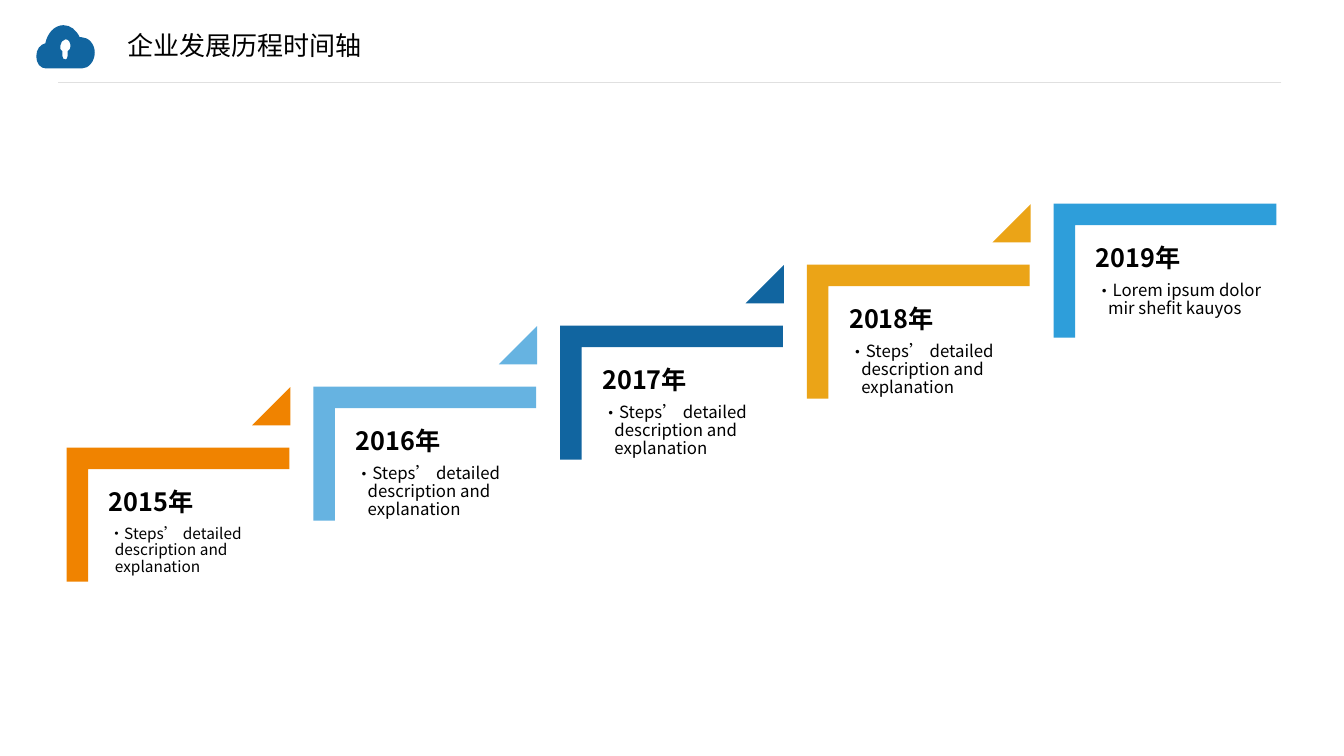
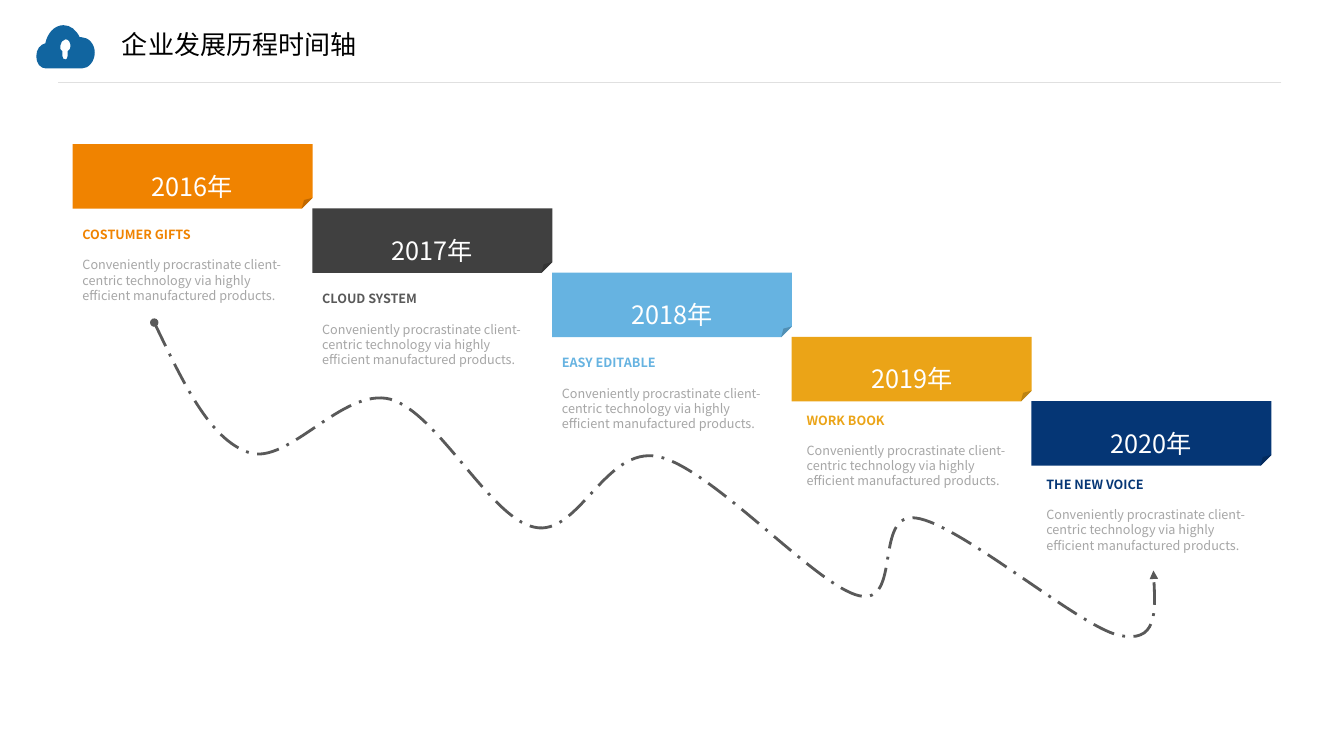
import pptx
import pptx.util
import pptx.dml.color
import pptx.enum.dml
import pptx.enum.shapes
import pptx.enum.text
import pptx.oxml
import pptx.oxml.ns
import lxml.etree

Inches = pptx.util.Inches
Pt = pptx.util.Pt
qn = pptx.oxml.ns.qn
SHAPES = pptx.enum.shapes.MSO_SHAPE
ANCHOR = pptx.enum.text.MSO_ANCHOR
ALIGN = pptx.enum.text.PP_ALIGN

FONT = "Noto Sans CJK SC"
TITLE = "企业发展历程时间轴"
COLOURS = {
    "rule": "E0E0E0", "black": "000000", "white": "FFFFFF", "grey": "A6A6A6",
    "orange": "F08300", "sky": "66B3E1", "blue": "1165A0", "amber": "EBA417",
    "azure": "2E9EDA", "charcoal": "404040", "slate": "595959", "navy": "053675",
}

STEP_DETAIL = "Steps’ detailed description and explanation"
STEPS = [
    ("2015年", "orange", STEP_DETAIL, 11, 0.06),
    ("2016年", "sky", STEP_DETAIL, 12, 0.12),
    ("2017年", "blue", STEP_DETAIL, 12, 0.12),
    ("2018年", "amber", STEP_DETAIL, 12, 0.12),
    ("2019年", "azure", "Lorem ipsum dolor mir shefit kauyos", 12, 0.12),
]

CARD_DETAIL = ("Conveniently procrastinate client-centric technology "
               "via highly efficient manufactured products.")
CARDS = [
    ("2016年", "orange", "COSTUMER GIFTS", "orange", (0, 0.77)),
    ("2017年", "charcoal", "CLOUD SYSTEM", "slate", (0, 0.77)),
    ("2018年", "sky", "EASY EDITABLE", "sky", (0, 0.77)),
    ("2019年", "amber", "WORK BOOK", "amber", (0.05, 0.7)),
    ("2020年", "navy", "THE NEW VOICE", "navy", (0.05, 0.7)),
]

CLOUD = [
    [(0.45, 0.12)],
    [(0.44, 0.12), (0.44, 0.12), (0.43, 0.12)],
    [(0.4, 0.05), (0.34, 0), (0.27, 0)],
    [(0.18, 0), (0.11, 0.08), (0.09, 0.18)],
    [(0.04, 0.19), (0, 0.24), (0, 0.31)],
    [(0, 0.38), (0.04, 0.43), (0.1, 0.43)],
    [(0.45, 0.43)],
    [(0.52, 0.43), (0.58, 0.36), (0.58, 0.27)],
    [(0.58, 0.19), (0.52, 0.12), (0.45, 0.12)],
]
KEYHOLE = [
    [(0.31, 0.26)],
    [(0.31, 0.31)],
    [(0.31, 0.33), (0.3, 0.34), (0.29, 0.34)],
    [(0.27, 0.34), (0.26, 0.33), (0.26, 0.31)],
    [(0.26, 0.26)],
    [(0.24, 0.25), (0.23, 0.23), (0.24, 0.2)],
    [(0.24, 0.17), (0.26, 0.15), (0.29, 0.14)],
    [(0.32, 0.14), (0.34, 0.17), (0.34, 0.21)],
    [(0.34, 0.23), (0.33, 0.25), (0.31, 0.26)],
]
TRAIL = [
    [(0, 0)],
    [(0.28, 0.58), (0.55, 1.16), (0.94, 1.29)],
    [(1.33, 1.42), (1.87, 0.64), (2.34, 0.76)],
    [(2.81, 0.89), (3.33, 1.94), (3.77, 2.03)],
    [(4.21, 2.13), (4.47, 1.22), (5, 1.33)],
    [(5.54, 1.45), (6.56, 2.61), (6.99, 2.71)],
    [(7.42, 2.81), (7.13, 1.87), (7.56, 1.94)],
    [(7.99, 2), (9.17, 3.01), (9.56, 3.1)],
    [(9.95, 3.19), (9.93, 2.83), (9.91, 2.46)],
]


def colour(name):
    """Return the named colour."""
    return pptx.dml.color.RGBColor.from_string(COLOURS[name])


def apply_format(target, values):
    """Set each attribute of the target from a dict."""
    for name, value in values.items():
        setattr(target, name, value)


def add_span(para, text, size, ink, bold=False):
    """Add one run of text to a paragraph."""
    span = para.add_run()
    span.text = text
    apply_format(span.font, {"name": FONT, "size": Pt(size), "bold": bold})
    span.font.color.rgb = colour(ink)
    east = lxml.etree.SubElement(span.font._element, qn("a:ea"))
    east.set("typeface", FONT)


def add_text_box(page, left, top, width, height, margins=(0.1, 0.05, 0.1, 0.05)):
    """Add a wrapping text box and return its frame."""
    box = page.shapes.add_textbox(*map(Inches, (left, top, width, height)))
    sides = ("margin_left", "margin_top", "margin_right", "margin_bottom")
    apply_format(box.text_frame, dict(zip(sides, map(Inches, margins))))
    box.text_frame.word_wrap = True
    return box.text_frame


def fill_shape(box, ink):
    """Fill a shape and drop its outline and shadow."""
    box.shadow.inherit = False
    box.fill.solid()
    box.fill.fore_color.rgb = colour(ink)
    box.line.fill.background()


def add_plain_shape(page, kind, left, top, width, height, ink):
    """Add a filled shape with neither outline nor shadow."""
    box = page.shapes.add_shape(kind, *map(Inches, (left, top, width, height)))
    fill_shape(box, ink)
    return box


def add_curves(page, left, top, contours, close):
    """Draw contours whose three-point segments are cubic curves."""
    builder = None
    for contour in contours:
        points = [(Inches(left + x), Inches(top + y))
                  for segment in contour for x, y in segment]
        if builder is None:
            builder = page.shapes.build_freeform(*points[0])
        else:
            builder.move_to(*points[0])
        builder.add_line_segments(points[1:], close=close)
    outline = builder.convert_to_shape()
    lines = outline._element.iter(qn("a:lnTo"))
    lines = iter(list(lines))
    for segment in (part for contour in contours for part in contour[1:]):
        steps = [next(lines) for _ in segment]
        if len(steps) == 3:
            curve = lxml.etree.Element(qn("a:cubicBezTo"))
            steps[0].addprevious(curve)
            for step in steps:
                curve.append(step[0])
                step.getparent().remove(step)
    return outline


def add_header(page, left, top):
    """Draw the rule, the cloud and the title."""
    rule = page.shapes.add_connector(
        pptx.enum.shapes.MSO_CONNECTOR.STRAIGHT,
        *map(Inches, (12.71, 0.82, 0.58, 0.82)))
    rule.line.color.rgb = colour("rule")
    rule.line.width = Pt(0.75)
    lxml.etree.SubElement(rule._element.spPr, qn("a:effectLst"))
    fill_shape(add_curves(page, 0.36, 0.25, [CLOUD, KEYHOLE], True), "blue")
    frame = add_text_box(page, left, top, 8.89, 0.52, (0, 0, 0, 0))
    frame.vertical_anchor = ANCHOR.MIDDLE
    add_span(frame.paragraphs[0], TITLE, 18.6, "black")


def add_bullet(para, indent):
    """Give a paragraph a hanging bullet."""
    properties = para._p.get_or_add_pPr()
    properties.set("marL", str(Inches(indent)))
    properties.set("indent", str(-Inches(indent)))
    for tag, name, value in (("a:buFont", "typeface", FONT), ("a:buChar", "char", "•")):
        lxml.etree.SubElement(properties, qn(tag)).set(name, value)


def add_step(page, left, top, year, ink, detail, size, indent):
    """Draw one stair around the text box at the given place."""
    corner = add_plain_shape(page, SHAPES.CORNER, left + 0.22, top - 0.66, 1.33, 2.21, ink)
    corner.rotation = 90
    corner.adjustments[0] = corner.adjustments[1] = 0.161
    frame = add_text_box(page, left, top, 2, 1.75, (0.2, 0.2, 0, 0.07))
    heading, body = frame.paragraphs[0], frame.add_paragraph()
    apply_format(heading, {"line_spacing": 0.9, "space_after": Pt(6.3)})
    add_span(heading, year, 18, "black", True)
    body.line_spacing = 0.9
    add_bullet(body, indent)
    add_span(body, detail, size, "black")


def add_stairs(page, left, top):
    """Draw the rising stairs with a triangle between neighbours."""
    for index, step in enumerate(STEPS):
        x, y = left + 9.79 / 4 * index, top - 2.42 / 4 * index
        add_step(page, x, y, *step)
        if index < len(STEPS) - 1:
            marker = add_plain_shape(page, SHAPES.ISOSCELES_TRIANGLE,
                                     x + 1.62, y - 0.82, 0.38, 0.38, step[1])
            marker.adjustments[0] = 1


def add_card(page, left, top, year, ink, name, name_ink, offset):
    """Draw one year card and the caption under it."""
    card = add_plain_shape(page, SHAPES.FOLDED_CORNER, left, top, 2.38, 0.64, ink)
    card.text_frame.vertical_anchor = ANCHOR.MIDDLE
    para = card.text_frame.paragraphs[0]
    apply_format(para, {"alignment": ALIGN.CENTER, "line_spacing": 2.0})
    add_span(para, year, 18, "white")
    frame = add_text_box(page, left + offset[0], top + offset[1], 2.33, 0.86)
    heading, body = frame.paragraphs[0], frame.add_paragraph()
    heading.space_after = Pt(11)
    add_span(heading, name, 9, name_ink, True)
    add_span(body, CARD_DETAIL, 9, "grey")


def add_cards(page, left, top):
    """Draw the descending row of cards."""
    for index, card in enumerate(CARDS):
        add_card(page, left + 9.51 / 4 * index, top + 2.55 / 4 * index, *card)


def add_trail(page, left, top):
    """Draw the dashed winding arrow."""
    trail = add_curves(page, left, top, [TRAIL], False)
    trail.shadow.inherit = False
    trail.fill.background()
    trail.line.color.rgb = colour("slate")
    apply_format(trail.line, {"width": Pt(2),
                              "dash_style": pptx.enum.dml.MSO_LINE.LONG_DASH_DOT})
    outline = trail._element.spPr.find(qn("a:ln"))
    for end, kind in (("a:headEnd", "oval"), ("a:tailEnd", "triangle")):
        lxml.etree.SubElement(outline, qn(end)).set("type", kind)


def build_stairs_page(page):
    """Build the slide with the rising stairs."""
    add_header(page, 1.26, 0.19)
    add_stairs(page, 0.88, 4.66)


def build_cards_page(page):
    """Build the slide with the descending cards."""
    add_header(page, 1.21, 0.18)
    add_cards(page, 0.72, 1.43)
    add_trail(page, 1.53, 3.2)


def main():
    """Build and save the deck."""
    deck = pptx.Presentation()
    apply_format(deck, {"slide_width": Inches(13.33), "slide_height": Inches(7.5)})
    for build in (build_stairs_page, build_cards_page):
        build(deck.slides.add_slide(deck.slide_layouts[6]))
    deck.save("out.pptx")


if __name__ == "__main__":
    main()
